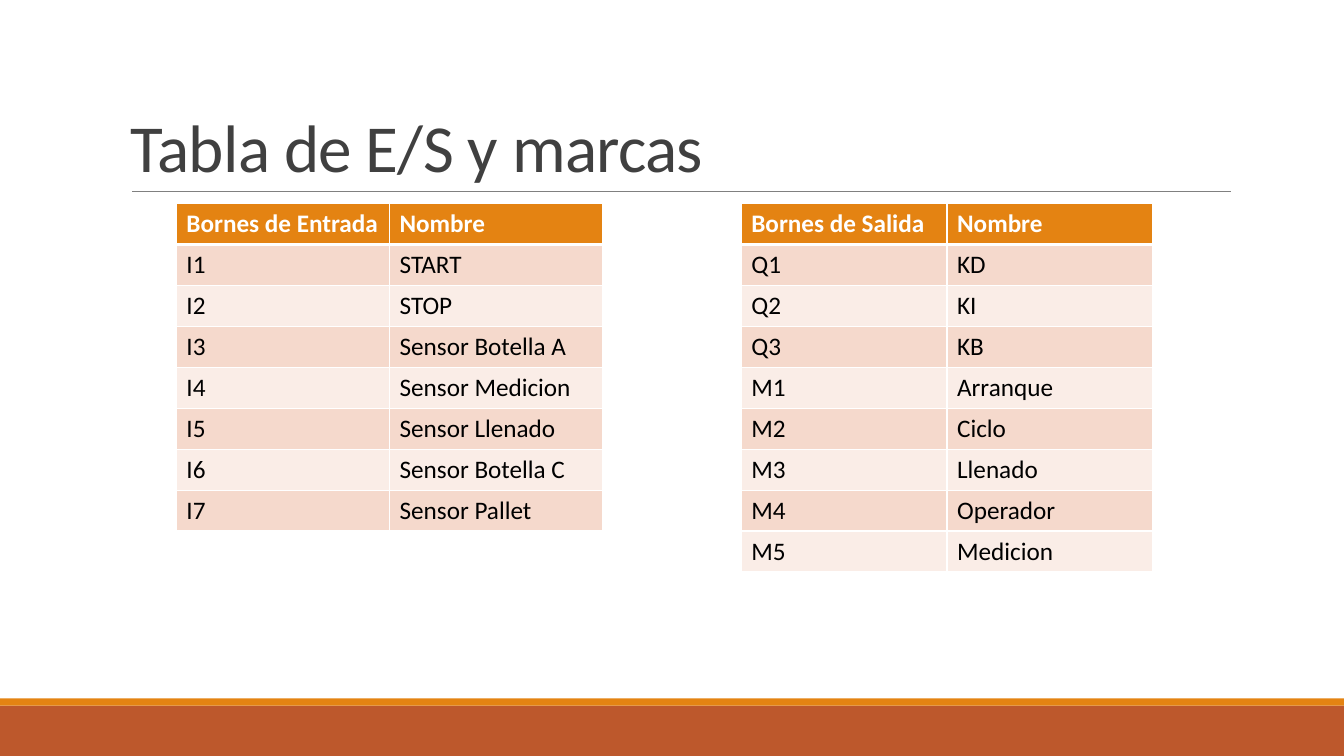
from pptx import Presentation
from pptx.dml.color import RGBColor as Rgb
from pptx.enum.shapes import MSO_CONNECTOR as Conn, MSO_SHAPE as Kind
from pptx.enum.text import MSO_ANCHOR as Anchor
from pptx.oxml.ns import qn
from pptx.util import Emu, Pt
from lxml.etree import SubElement as Sub

FONT = "Calibri"
HUES = {
    "title": "404040", "rule": "808080", "white": "FFFFFF", "black": "000000",
    "head": "E48312", "base": "BD582C", "odd": "F5D9CC", "even": "FAEDE7",
}
ROW = 39  # table row height in px

INPUTS = [
    ("Bornes de Entrada", "Nombre"),
    ("I1", "START"),
    ("I2", "STOP"),
    ("I3", "Sensor Botella A"),
    ("I4", "Sensor Medicion"),
    ("I5", "Sensor Llenado"),
    ("I6", "Sensor Botella C"),
    ("I7", "Sensor Pallet"),
]
OUTPUTS = [
    ("Bornes de Salida", "Nombre"),
    ("Q1", "KD"),
    ("Q2", "KI"),
    ("Q3", "KB"),
    ("M1", "Arranque"),
    ("M2", "Ciclo"),
    ("M3", "Llenado"),
    ("M4", "Operador"),
    ("M5", "Medicion"),
]


def px(num):
    return Emu(num * 9525)


def hue(name):
    return Rgb.from_string(HUES[name])


def add_run(para, text, size, color, bold=False):
    run = para.add_run()
    run.text = text
    font = run.font
    font.name, font.size, font.bold = FONT, Pt(size), bold
    font.color.rgb = hue(color)
    return run


def add_bar(slide, top, high, color):
    bar = slide.shapes.add_shape(Kind.RECTANGLE, 0, px(top), px(1280), px(high))
    bar.shadow.inherit = False
    bar.fill.solid()
    bar.fill.fore_color.rgb = hue(color)
    bar.line.fill.background()


def add_rule(slide, left, right, top):
    rule = slide.shapes.add_connector(
        Conn.STRAIGHT, px(left), px(top), px(right), px(top))
    rule.line.color.rgb = hue("rule")
    rule.line.width = Pt(0.5)
    Sub(rule._element.spPr, qn("a:effectLst"))


def add_title(slide, text):
    box = slide.shapes.add_textbox(px(115), px(30), px(1056), px(152))
    frame = box.text_frame
    frame.word_wrap = True
    frame.vertical_anchor = Anchor.BOTTOM
    para = frame.paragraphs[0]
    para.line_spacing = 0.85
    run = add_run(para, text, 48, "title")
    run.font._element.set("spc", "-50")


def add_edges(cell, row):
    props = cell._tc.get_or_add_tcPr()
    # The seam below the header row is thicker
    thick = {"T": row == 1, "B": row == 0}
    for side in "LRTB":
        width = Pt(3 if thick.get(side) else 1)
        edge = Sub(props, qn(f"a:ln{side}"), w=str(width))
        fill = Sub(edge, qn("a:solidFill"))
        Sub(fill, qn("a:srgbClr"), val=HUES["white"])


def add_grid(slide, left, wide, rows):
    count = len(rows[0])
    frame = slide.shapes.add_table(
        len(rows), count, px(left), px(194), px(wide * count), px(ROW * len(rows)))
    table = frame.table
    for col in table.columns:
        col.width = px(wide)
    for i, texts in enumerate(rows):
        table.rows[i].height = px(ROW)
        head = i == 0
        tint = "head" if head else "odd" if i % 2 else "even"
        for j, text in enumerate(texts):
            cell = table.cell(i, j)
            add_edges(cell, i)
            cell.fill.solid()
            cell.fill.fore_color.rgb = hue(tint)
            para = cell.text_frame.paragraphs[0]
            add_run(para, text, 18, "white" if head else "black", head)


def main():
    deck = Presentation()
    deck.slide_width, deck.slide_height = px(1280), px(720)
    slide = deck.slides.add_slide(deck.slide_layouts[6])

    # Footer bars and title rule
    add_bar(slide, 672, 48, "base")
    add_bar(slide, 665, 7, "head")
    add_rule(slide, 126, 1172, 182)

    # Title and tables
    add_title(slide, "Tabla de E/S y marcas")
    add_grid(slide, 168, 203, INPUTS)
    add_grid(slide, 706, 196, OUTPUTS)

    deck.save("out.pptx")


if __name__ == "__main__":
    main()
